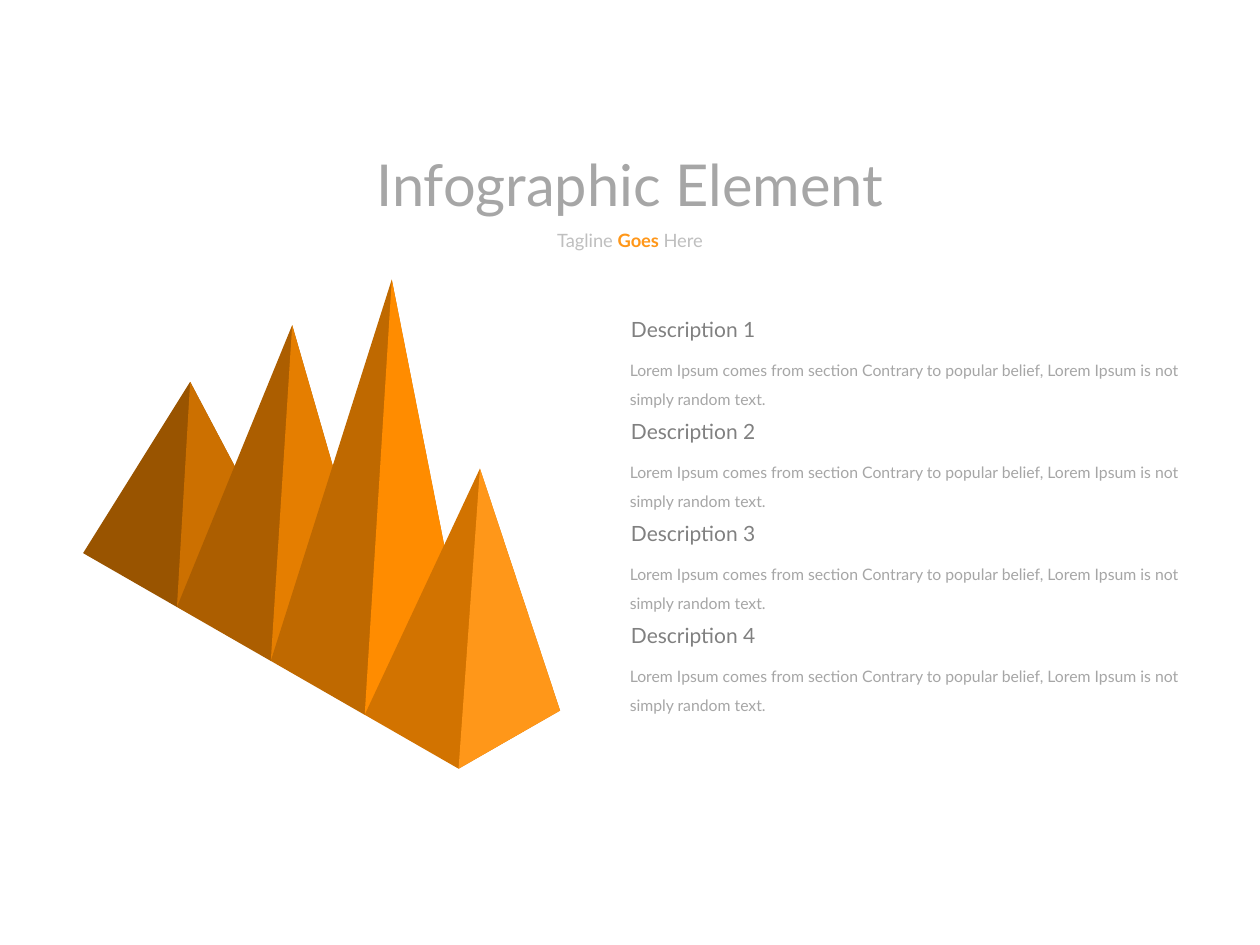
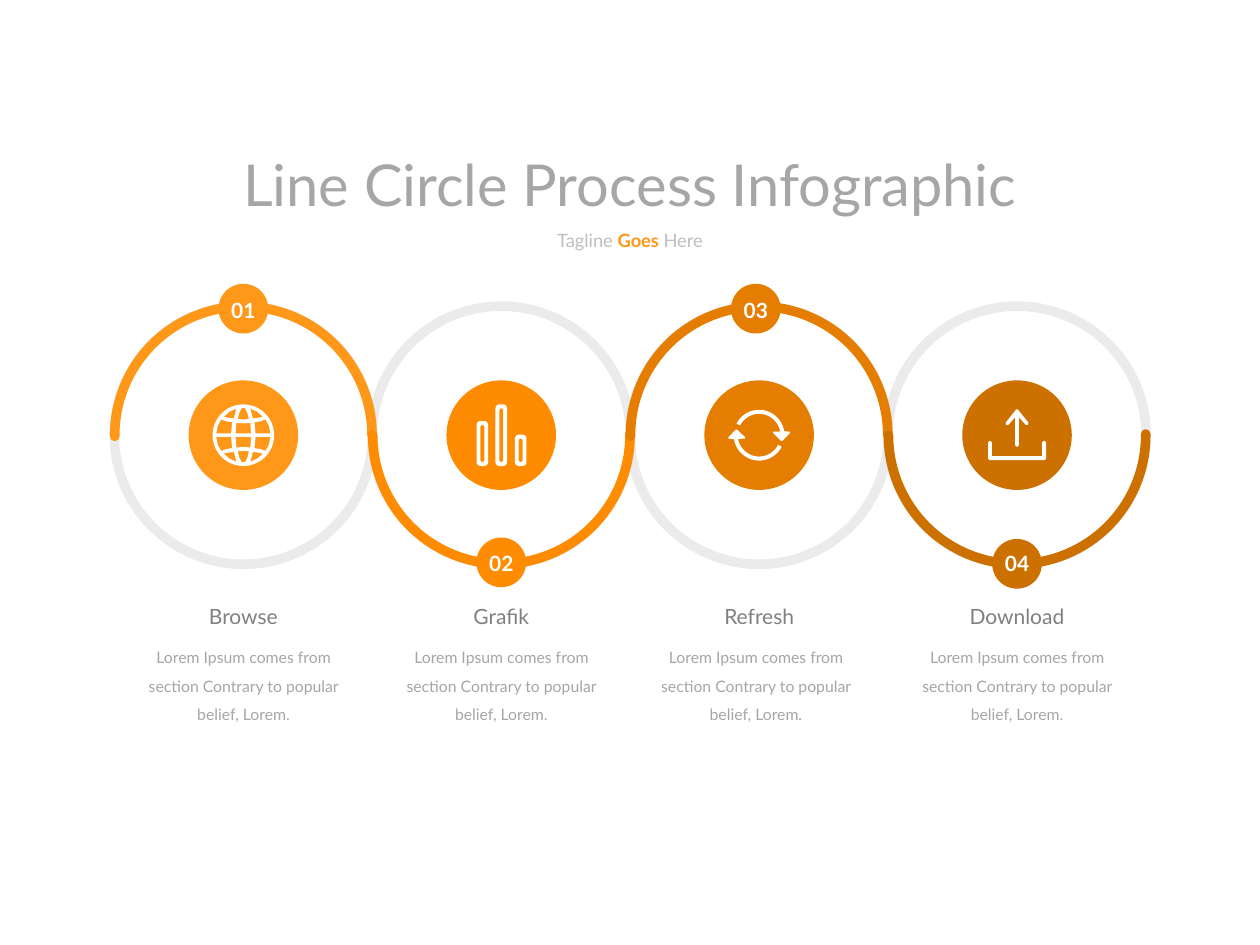
"""Build two infographic slides: a row of peaks and a chain of circles."""
import math
from dataclasses import dataclass

import lxml.etree
import pptx
import pptx.dml.color
import pptx.enum.shapes
import pptx.enum.text
import pptx.oxml.ns
import pptx.util

Pt = pptx.util.Pt
Kind = pptx.enum.shapes.MSO_SHAPE
Align = pptx.enum.text.PP_ALIGN
qn = pptx.oxml.ns.qn
Point = tuple[float, float]
Path = list[Point]

FONT = "Lato"
WIDE, HIGH = 720, 540
COLORS = {
    "title": "A6A6A6", "tag": "BFBFBF", "head": "808080", "body": "A6A6A6",
    "white": "FFFFFF", "ring": "BFBFBF",
    "amber": "FF9719", "orange": "FF8C00", "rust": "E57E00", "brown": "CC7000",
    "shade1": "995400", "shade2": "AC5E00", "shade3": "BF6900", "shade4": "D27300",
}


@dataclass
class Style:
    size: float
    color: str
    bold: bool = False
    align: Align = Align.CENTER
    space: float | None = None
    wrap: bool = False


TITLE = Style(33, "title")
TAG = Style(10.5, "tag")
STRONG = Style(10.5, "amber", bold=True)
BADGE = Style(12, "white", bold=True)
HEAD = Style(12, "head")
BODY = Style(9, "body", space=1.5, wrap=True)
LEFT_HEAD = Style(12, "head", align=Align.LEFT)
LEFT_BODY = Style(9, "body", align=Align.LEFT, space=1.5, wrap=True)


@dataclass
class Peak:
    top: Point
    dark: str
    light: str


@dataclass
class Step:
    name: str
    color: str
    icon: list[Path]
    head_wide: float
    low: bool
    badge_top: float
    shift: float = 0


def paint(color: str) -> pptx.dml.color.RGBColor:
    return pptx.dml.color.RGBColor.from_string(COLORS[color])


def format_run(run, style: Style) -> None:
    run.font.name = FONT
    run.font.size = Pt(style.size)
    run.font.bold = style.bold
    run.font.color.rgb = paint(style.color)


def add_text(slide, text: str, left: float, top: float, wide: float, high: float,
             style: Style):
    box = slide.shapes.add_textbox(Pt(left), Pt(top), Pt(wide), Pt(high))
    frame = box.text_frame
    frame.word_wrap = style.wrap
    frame.auto_size = pptx.enum.text.MSO_AUTO_SIZE.SHAPE_TO_FIT_TEXT
    frame.text = text
    line = frame.paragraphs[0]
    line.alignment = style.align
    line.line_spacing = style.space
    format_run(line.runs[0], style)
    return line


def add_title(slide, text: str, wide: float) -> None:
    add_text(slide, text, (WIDE - wide) / 2, 81.4, wide, 47.5, TITLE)
    line = add_text(slide, "Tagline ", 309.6, 127.4, 100.8, 20.2, TAG)
    for word, style in (("Goes ", STRONG), ("Here", TAG)):
        run = line.add_run()
        run.text = word
        format_run(run, style)


def fill_shape(shape, color: str) -> None:
    shape.shadow.inherit = False
    shape.fill.solid()
    shape.fill.fore_color.rgb = paint(color)
    shape.line.fill.background()


def add_disc(slide, x: float, y: float, size: float, color: str) -> None:
    disc = slide.shapes.add_shape(
        Kind.OVAL, Pt(x - size / 2), Pt(y - size / 2), Pt(size), Pt(size))
    fill_shape(disc, color)


def add_loop(slide, kind: Kind, x: float, y: float, size: float, color: str):
    loop = slide.shapes.add_shape(
        kind, Pt(x - size / 2), Pt(y - size / 2), Pt(size), Pt(size))
    loop.shadow.inherit = False
    loop.fill.background()
    loop.line.width = Pt(5.5)
    loop.line.color.rgb = paint(color)
    return loop


def add_ring(slide, x: float, y: float) -> None:
    ring = add_loop(slide, Kind.OVAL, x, y, 147.5, "ring")
    tint = ring.element.spPr.find(qn("a:ln")).find(".//" + qn("a:srgbClr"))
    lxml.etree.SubElement(tint, qn("a:alpha"), val="30000")


def add_arc(slide, x: float, y: float, color: str, low: bool) -> None:
    arc = add_loop(slide, Kind.ARC, x, y, 147, color)
    arc.adjustments[0] = 107.66
    arc.adjustments[1] = 0
    arc.rotation = 180 if low else 0
    arc.element.spPr.find(qn("a:ln")).set("cap", "rnd")


def add_form(slide, paths: list[Path], color: str, x: float = 0, y: float = 0) -> None:
    build = None
    for path in paths:
        spots = [(Pt(x + a), Pt(y + b)) for a, b in path]
        if build is None:
            build = slide.shapes.build_freeform(*spots[0])
        else:
            build.move_to(*spots[0])
        build.add_line_segments(spots[1:], close=True)
    fill_shape(build.convert_to_shape(), color)


def sweep(radius: float, start: float, end: float, x: float = 0, y: float = 0,
          count: int = 24) -> Path:
    turns = [math.radians(start + (end - start) * i / count) for i in range(count + 1)]
    return [(x + radius * math.cos(t), y + radius * math.sin(t)) for t in turns]


def flip(path: Path, across: int, down: int) -> Path:
    return [(a * across, b * down) for a, b in path]


def draw_globe() -> list[Path]:
    side = [(7, -1), (6.4, -7.4), (9.6, -7.9), (12.7, -9), (14.6, -5.4), (15.5, -1)]
    edge = [(5.4, -9.6), (4, -15.2), (8, -13.4), (11.2, -10.5), (8.4, -9.9)]
    core = [(-4.4, -1), (-4, -7), (0, -6.8), (4, -7), (4.4, -1)]
    cap = [(-3.2, -9.2), (-2.3, -12.8), (-1, -15.4), (1, -15.4), (2.3, -12.8),
           (3.2, -9.2), (0, -9)]
    holes = [flip(path, across, down) for path in (side, edge)
             for across in (1, -1) for down in (1, -1)]
    holes += [flip(path, 1, down) for path in (core, cap) for down in (1, -1)]
    return [sweep(17.6, 0, 360, count=60)] + holes


def draw_bar(x: float, top: float, base: float, half: float, round_: float) -> Path:
    reach = half - round_
    spots = ((reach, base - round_, 0), (-reach, base - round_, 90),
             (-reach, top + round_, 180), (reach, top + round_, 270))
    return [spot for a, b, turn in spots
            for spot in sweep(round_, turn, turn + 90, x + a, b, 6)]


def draw_chart() -> list[Path]:
    paths = []
    for x, top in ((-10.8, -8.1), (0, -17.6), (11.1, -0.3)):
        paths.append(draw_bar(x, top, 17.6, 3.3, 2.3))
        paths.append(draw_bar(x, top + 2.3, 15.3, 1.1, 1.1))
    return paths


def draw_cycle() -> list[Path]:
    half = (sweep(14.5, 207, 351) + [(17.6, -2), (17.6, -1.2), (13.3, 3.2), (12.5, 3.2),
            (8, -1.2), (8, -2)] + sweep(12.2, 350, 207))
    return [half, flip(half, -1, -1)]


def draw_load() -> list[Path]:
    tray = [(14.4, 12), (14.4, 4), (15.5, 3.2), (16.6, 4), (16.6, 13.4), (15.8, 14.2)]
    head = [(0.4, -14.8), (6.5, -7.2), (6.3, -5.9), (5, -5.9), (1.1, -10.2),
            (1.1, 5.6), (0.4, 6.6)]
    return [path + flip(path[::-1], -1, 1) for path in (tray, head)]


def build_peaks(slide) -> None:
    add_title(slide, "Infographic Element", 311.8)
    peaks = [
        Peak((108.7, 218.2), "shade1", "brown"),
        Peak((167, 185.8), "shade2", "rust"),
        Peak((223.9, 159.8), "shade3", "orange"),
        Peak((274.3, 267.8), "shade4", "amber"),
    ]
    for i, peak in enumerate(peaks):
        left, front = [(47.5 + 53.64 * n, 316.1 + 30.8 * n) for n in (i, i + 1)]
        right = (front[0] + 58, front[1] - 33.2)
        add_form(slide, [[left, peak.top, right, front]], peak.dark)
        add_form(slide, [[peak.top, front, right]], peak.light)
    text = ("Lorem Ipsum comes from section Contrary to popular belief, "
            "Lorem Ipsum is not simply random text.")
    for i in range(len(peaks)):
        drop = 58.32 * i
        add_text(slide, text, 352.8, 197.3 + drop, 334.1, 40.3, LEFT_BODY)
        add_text(slide, f"Description {i + 1}", 353.5, 177.1 + drop, 86.4, 21.6, LEFT_HEAD)


def build_chain(slide) -> None:
    add_title(slide, "Line Circle Process Infographic", 479.5)
    steps = [
        Step("Browse", "amber", draw_globe(), 54.7, False, 162.2),
        Step("Grafik", "orange", draw_chart(), 47.5, True, 307.2),
        Step("Refresh", "rust", draw_cycle(), 56.2, False, 162.2, -1.9),
        Step("Download", "brown", draw_load(), 69.1, True, 308),
    ]
    spots = [(139.1 + 147.36 * i, step) for i, step in enumerate(steps)]
    mid = 248.7
    for x, step in spots:
        add_ring(slide, x, mid)
    for x, step in spots:
        add_arc(slide, x, mid, step.color, step.low)
    for i, (x, step) in enumerate(spots):
        add_disc(slide, x, mid, 62.6, step.color)
        add_form(slide, step.icon, "white", x, mid)
        add_text(slide, "Lorem Ipsum comes from section Contrary to popular belief, Lorem.",
                 x + step.shift - 62.6, 361.4, 125.3, 56.2, BODY)
        add_text(slide, step.name, x - step.head_wide / 2, 341.3, step.head_wide, 21.6, HEAD)
        spot = x + step.shift
        add_disc(slide, spot, step.badge_top + 14.2, 28.4, step.color)
        add_text(slide, f"{i + 1:02}", spot - 14.4, 311.2 if step.low else 166.3,
                 28.8, 21.6, BADGE)


def main() -> None:
    deck = pptx.Presentation()
    deck.slide_width, deck.slide_height = Pt(WIDE), Pt(HIGH)
    for build in (build_peaks, build_chain):
        build(deck.slides.add_slide(deck.slide_layouts[6]))
    deck.save("out.pptx")


if __name__ == "__main__":
    main()
